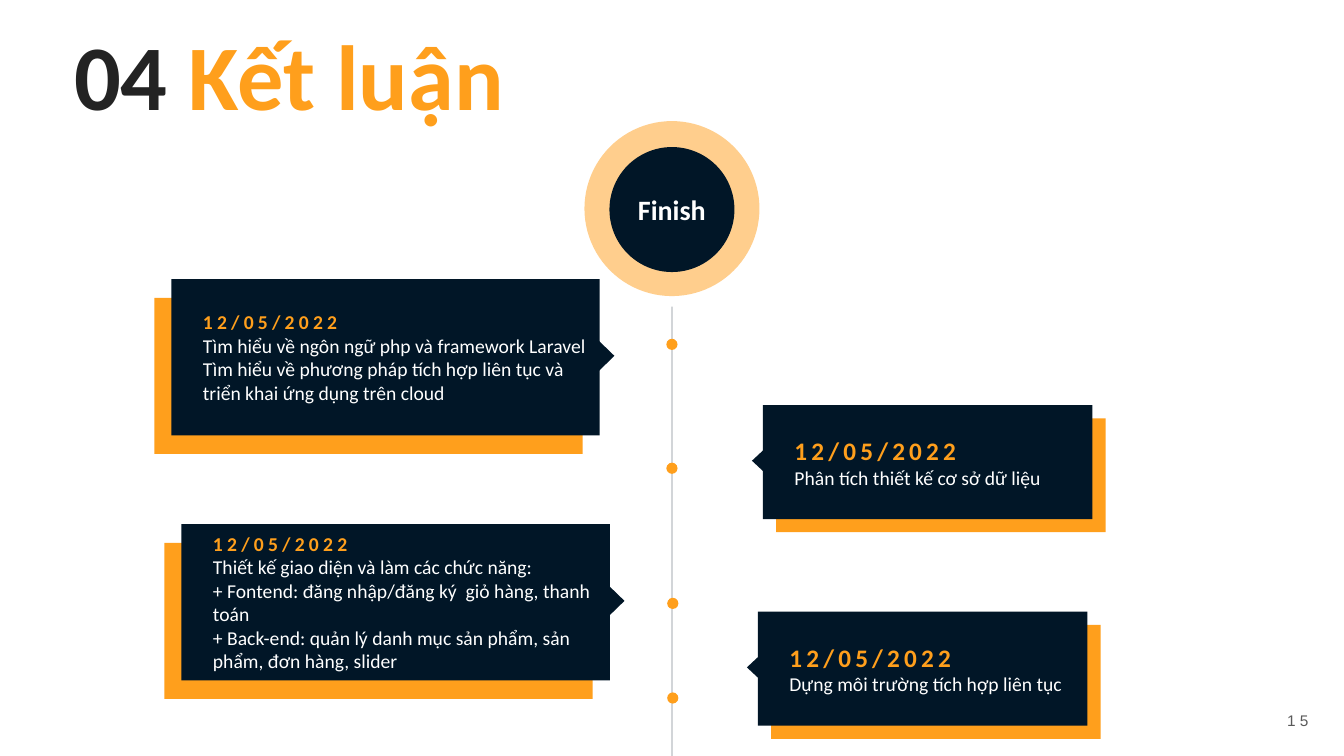
from dataclasses import dataclass

from lxml.etree import SubElement
from pptx import Presentation
from pptx.dml.color import RGBColor
from pptx.enum.shapes import MSO_CONNECTOR as Conn, MSO_SHAPE as Kind
from pptx.enum.text import MSO_ANCHOR as Anchor, MSO_AUTO_SIZE as Fit, PP_ALIGN as Align
from pptx.oxml.ns import qn
from pptx.util import Pt

NAVY = RGBColor(0x01, 0x16, 0x27)
ORANGE = RGBColor(0xFF, 0x9F, 0x1C)
WHITE = RGBColor(0xFF, 0xFF, 0xFF)
DARK = RGBColor(0x23, 0x23, 0x23)
GRAY = RGBColor(0x5A, 0x5A, 0x5A)
DATE = "12/05/2022"
MID = 480


@dataclass(frozen=True)
class Style:
    """Size of a card, shift of its back plate, and its pointer."""
    width: float
    height: float
    dx: float
    dy: float
    base: float
    tip: float
    gap: float
    turn: int
    date: int


@dataclass(frozen=True)
class Card:
    style: Style
    left: float
    top: float
    lines: tuple[str, ...]


LEFT = Style(306, 111.6, -12.2, 13.3, 22.3, 11.5, 4.7, 90, 14)
RIGHT = Style(235.4, 81.4, 9.4, 9.4, 16, 8.6, 3.6, 270, 18)

CARDS = (
    Card(LEFT, 122.4, 199.4, (
        "Tìm hiểu về ngôn ngữ php và framework Laravel",
        "Tìm hiểu về phương pháp tích hợp liên tục và triển khai ứng dụng trên cloud")),
    Card(RIGHT, 545, 289.4, ("Phân tích thiết kế cơ sở dữ liệu",)),
    Card(LEFT, 129.6, 374.4, (
        "Thiết kế giao diện và làm các chức năng:",
        "+ Fontend: đăng nhập/đăng ký  giỏ hàng, thanh toán",
        "+ Back-end: quản lý danh mục sản phẩm, sản phẩm, đơn hàng, slider")),
    Card(RIGHT, 541.4, 437, ("Dựng môi trường tích hợp liên tục",)),
)
DOTS = ((MID, 246), (MID, 334.5), (MID + 0.6, 431), (MID + 0.6, 498.6))


def write(para, text: str, *, size: float, color: RGBColor, bold: bool = False,
          face: str = "Calibri", align=Align.LEFT, track: float = 0) -> None:
    """Add a run to a paragraph; track is letter spacing in points."""
    para.alignment = align
    run = para.add_run()
    run.text = text
    font = run.font
    font.name, font.size, font.bold = face, Pt(size), bold
    font.color.rgb = color
    if track:
        run._r.get_or_add_rPr().set("spc", str(round(track * 100)))


def fade(item, share: int) -> None:
    """Set the opacity of the first colour in a shape, in percent."""
    color = next(item._element.spPr.iter(qn("a:srgbClr")))
    SubElement(color, qn("a:alpha")).set("val", str(share * 1000))


def draw(shapes, kind: Kind, left: float, top: float, width: float,
         height: float, color: RGBColor):
    item = shapes.add_shape(kind, Pt(left), Pt(top), Pt(width), Pt(height))
    item.shadow.inherit = False
    item.fill.solid()
    item.fill.fore_color.rgb = color
    item.line.fill.background()
    return item


def disc(shapes, x: float, y: float, size: float, color: RGBColor):
    return draw(shapes, Kind.OVAL, x - size / 2, y - size / 2, size, size, color)


def add_card(shapes, card: Card) -> None:
    style = card.style
    group = shapes.add_group_shape().shapes
    draw(group, Kind.RECTANGLE, card.left + style.dx, card.top + style.dy,
         style.width, style.height, ORANGE)
    front = draw(group, Kind.RECTANGLE, card.left, card.top,
                 style.width, style.height, NAVY)
    frame = front.text_frame
    frame.word_wrap = True
    frame.vertical_anchor = Anchor.MIDDLE
    frame.margin_left = Pt(22.5)
    write(frame.paragraphs[0], DATE, size=style.date, color=ORANGE, bold=True, track=3)
    for line in card.lines:
        write(frame.add_paragraph(), line, size=14, color=WHITE)

    x = card.left + style.width + style.gap if style is LEFT else card.left - style.gap
    y = card.top + style.height / 2 - 1
    mark = draw(group, Kind.ISOSCELES_TRIANGLE, x - style.base / 2,
                y - style.tip / 2, style.base, style.tip, NAVY)
    mark.rotation = style.turn


def add_title(slide) -> None:
    title = slide.shapes.title
    title.left, title.top, title.width, title.height = Pt(6.5), Pt(31), Pt(400), Pt(67)
    frame = title.text_frame
    frame.auto_size = Fit.NONE
    frame.vertical_anchor = Anchor.TOP
    para = frame.paragraphs[0]
    para.line_spacing = 0.7
    for text, color in (("04 ", DARK), ("Kết luận", ORANGE)):
        write(para, text, size=66, color=color, bold=True, align=Align.CENTER)


def add_axis(shapes) -> None:
    axis = shapes.add_connector(Conn.STRAIGHT, Pt(MID), Pt(219), Pt(MID), Pt(540))
    axis.line.width = Pt(0.5)
    axis.line.color.rgb = NAVY
    fade(axis, 50)
    SubElement(axis._element.spPr, qn("a:effectLst"))
    for x, y in DOTS:
        disc(shapes, x, y, 8, ORANGE)


def add_finish(shapes) -> None:
    fade(disc(shapes, MID, 149, 125, ORANGE), 50)
    core = disc(shapes, MID, 149.7, 89.3, NAVY)
    core.text_frame.vertical_anchor = Anchor.MIDDLE
    write(core.text_frame.paragraphs[0], "Finish", size=20, color=WHITE,
          bold=True, align=Align.CENTER)


def add_number(shapes) -> None:
    box = shapes.add_textbox(Pt(894), Pt(500.4), Pt(66), Pt(28.8))
    box.text_frame.word_wrap = False
    box.text_frame.vertical_anchor = Anchor.MIDDLE
    write(box.text_frame.paragraphs[0], "15", size=11, color=GRAY, face="Arial",
          align=Align.CENTER, track=3)


def main() -> None:
    deck = Presentation()
    deck.slide_width, deck.slide_height = Pt(960), Pt(540)
    slide = deck.slides.add_slide(deck.slide_layouts.get_by_name("Title Only"))
    add_title(slide)
    add_finish(slide.shapes)
    add_axis(slide.shapes)
    for card in CARDS:
        add_card(slide.shapes, card)
    add_number(slide.shapes)
    deck.save("out.pptx")


if __name__ == "__main__":
    main()
